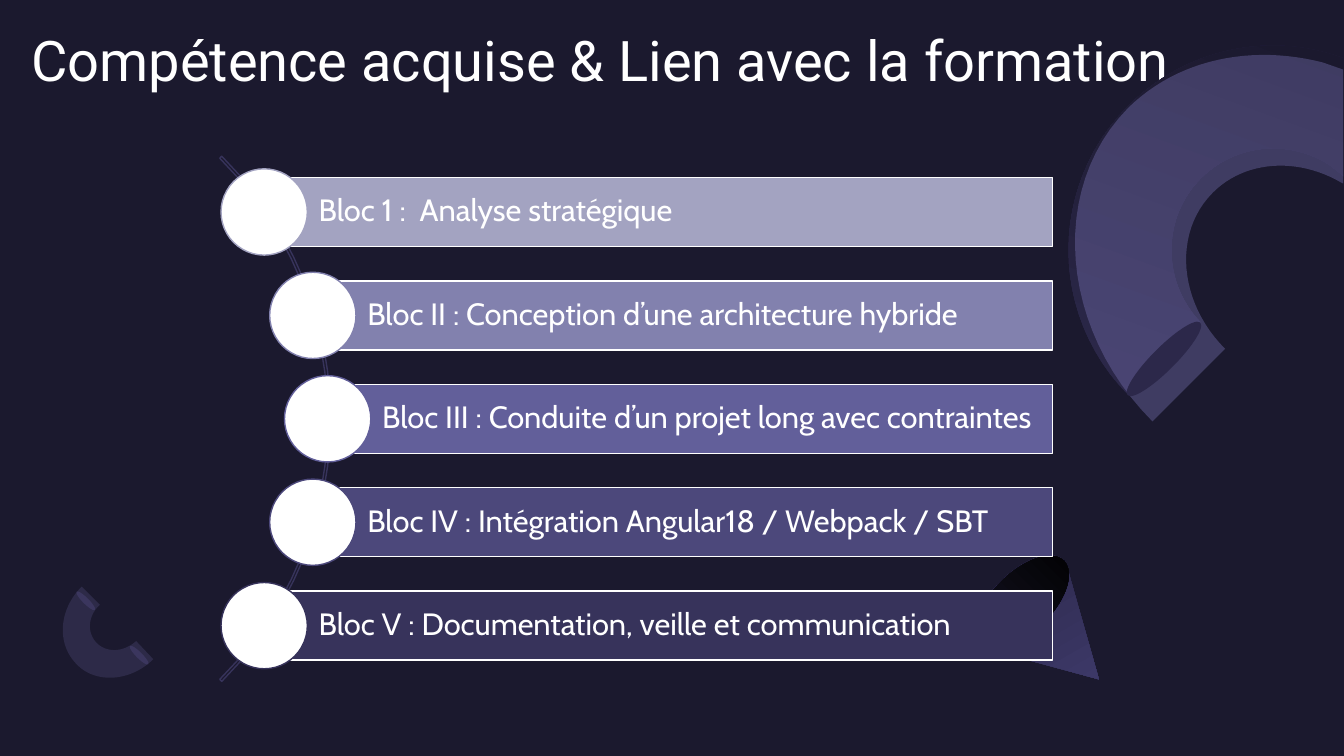
from dataclasses import dataclass
from math import sqrt

from lxml.etree import SubElement
from pptx import Presentation
from pptx.dml.color import RGBColor
from pptx.enum.shapes import MSO_SHAPE
from pptx.enum.text import MSO_ANCHOR, MSO_AUTO_SIZE, PP_ALIGN
from pptx.oxml.ns import qn
from pptx.util import Inches, Pt

CELL = Inches(0.1)


@dataclass(frozen=True)
class Theme:
    """Colours, fonts and type sizes of the slide."""
    ground: str = "1B192E"
    white: str = "FFFFFF"
    shade: str = "2C284A"
    veil: str = "7771B2"
    cone: str = "3C3867"
    hollow: tuple = ("171527", "000000")
    blocs: tuple = ("A3A3C1", "8281AE", "625F9A", "4C487B", "37335B")
    title_font: str = "Roboto"
    bloc_font: str = "Cabin"
    title_size: int = 40
    bloc_size: int = 22


@dataclass(frozen=True)
class Box:
    """A region measured in grid cells."""
    left: float
    top: float
    width: float = 0
    height: float = 0

    def within(self, left, top, width=0, height=0):
        """Return a box placed relative to this one."""
        return Box(self.left + left, self.top + top, width, height)

    def emu(self):
        """Return left, top, width and height as slide lengths."""
        return [round(side * CELL) for side in (self.left, self.top, self.width, self.height)]


THEME = Theme()

BLOCS = (
    "Bloc 1 :  Analyse stratégique",
    "Bloc II : Conception d’une architecture hybride",
    "Bloc III : Conduite d’un projet long avec contraintes",
    "Bloc IV : Intégration Angular18 / Webpack / SBT",
    "Bloc V : Documentation, veille et communication",
)

ARCH_BACK = [(7.9, 34.2), (0, 26.2, 0, 13.4, 7.9, 5.5), (13.4, 0, 21.2, -1.7, 28.1, 0.4),
             (29.3, 0.8), (29.3, 12.5), (27.9, 11.4), (23.9, 8.8, 18.6, 9.2, 15.1, 12.7),
             (11.2, 16.6, 11.2, 23, 15.1, 27)]
ARCH_FRONT = [(10.3, 36.8), (1.1, 27.6, 0, 13.7, 7.9, 5.7), (12.9, 0.8, 20.2, -0.6, 27.2, 1.2),
              (29.2, 1.9), (29.2, 13.2), (29, 13.1), (24.7, 10.6, 19.5, 10.9, 16.3, 14.1),
              (12.3, 18.1, 12.9, 25, 17.5, 29.6)]
CONE = [(13, 13.4), (1.6, 10.3), (1.4, 10.2, 1.3, 10.1, 1.1, 9.9), (0, 8.8, 0.9, 6, 3.2, 3.7),
        (5.5, 1.4, 8.3, 0.4, 9.5, 1.6), (9.6, 1.7, 9.7, 1.9, 9.8, 2.1)]
HOOK_BACK = [(1.6, 7.9), (-0.4, 5.9, -0.4, 2.7, 1.6, 0.7), (3.3, 2.5),
             (2.4, 3.5, 2.4, 5.1, 3.3, 6.1), (4.3, 7.1, 5.9, 7.1, 6.9, 6.1), (8.7, 7.9),
             (6.7, 9.9, 3.5, 9.9, 1.6, 7.9)]
HOOK_FRONT = [(1.6, 7.9), (-0.4, 5.9, -0.2, 2.5, 2.1, 0.2), (3.9, 2),
              (2.7, 3.1, 2.6, 4.8, 3.6, 5.8), (4.6, 6.8, 6.3, 6.7, 7.5, 5.6), (9.2, 7.4),
              (7, 9.6, 3.5, 9.9, 1.6, 7.9)]
SPINE = [(0.2, 0), (14.6, 14.4, 14.6, 37.7, 0.2, 52.1), (0, 51.9), (14.3, 37.7, 14.3, 14.5, 0, 0.2)]


def apply(target, formats):
    """Set every format value on the target."""
    for key, value in formats.items():
        setattr(target, key, value)


def paint(shape, fill=None, line=None, angle=None, alpha=None):
    """Give a shape a plain, gradient or translucent fill and an outline."""
    shape.shadow.inherit = False
    if fill is None:
        shape.fill.background()
    elif angle is not None:
        shape.fill.gradient()
        shape.fill.gradient_angle = angle
        for stop, colour in zip(shape.fill.gradient_stops, fill):
            stop.color.rgb = RGBColor.from_string(colour)
    else:
        shape.fill.solid()
        shape.fill.fore_color.rgb = RGBColor.from_string(fill)
    if alpha is not None:
        tint = shape.fill._xPr.find(".//" + qn("a:srgbClr"))
        SubElement(tint, qn("a:alpha")).set("val", str(alpha * 1000))
    if line is None:
        shape.line.fill.background()
    else:
        shape.line.color.rgb = RGBColor.from_string(line)
        shape.line.width = Pt(1)
    return shape


def trace(outline, steps=24):
    """Turn line ends and cubic curves into a list of points."""
    points = [outline[0]]
    for part in outline[1:]:
        if len(part) == 2:
            points.append(part)
            continue
        nodes = [points[-1], part[:2], part[2:4], part[4:]]
        for step in range(1, steps + 1):
            t = step / steps
            weights = ((1 - t) ** 3, 3 * t * (1 - t) ** 2, 3 * t * t * (1 - t), t ** 3)
            points.append(tuple(sum(w * node[axis] for w, node in zip(weights, nodes))
                                for axis in (0, 1)))
    return points


def add_outline(slide, box, outline, **look):
    """Draw a closed outline relative to its box."""
    points = [box.within(*point).emu()[:2] for point in trace(outline)]
    builder = slide.shapes.build_freeform(*points[0])
    builder.add_line_segments(points[1:], close=True)
    return paint(builder.convert_to_shape(), **look)


def add_preset(slide, kind, box, rotation=0, **look):
    """Draw a preset shape filling its box."""
    shape = paint(slide.shapes.add_shape(kind, *box.emu()), **look)
    shape.rotation = rotation
    return shape


def write(shape, text, frame_formats, paragraph_formats, font_formats):
    """Fill a shape with one formatted paragraph."""
    frame = shape.text_frame
    frame.text = text
    apply(frame, frame_formats)
    apply(frame.paragraphs[0], paragraph_formats)
    font = frame.paragraphs[0].runs[0].font
    apply(font, font_formats)
    font.color.rgb = RGBColor.from_string(THEME.white)


def add_arch(slide, box):
    """Draw the large arch at the right edge."""
    add_outline(slide, box, ARCH_BACK, fill=(THEME.shade, THEME.ground), angle=70)
    add_outline(slide, box, ARCH_FRONT, fill=THEME.veil, alpha=40)
    add_preset(slide, MSO_SHAPE.OVAL, box.within(10.3, 25.5, 2.3, 10.2), 225, fill=THEME.shade)


def add_cone(slide, box):
    """Draw the cone with its dark opening."""
    add_outline(slide, box, CONE, fill=(THEME.shade, THEME.cone), angle=300)
    add_preset(slide, MSO_SHAPE.OVAL, box.within(2.4, -0.1, 5.9, 11.8), 225,
               fill=THEME.hollow, angle=270)


def add_hook(slide, box):
    """Draw the small hook at the lower left."""
    add_outline(slide, box, HOOK_BACK, fill=THEME.ground)
    for left, top in ((7.5, 5.7), (2.2, 0.3)):
        add_preset(slide, MSO_SHAPE.OVAL, box.within(left, top, 0.6, 2.6), 135, fill=THEME.shade)
    add_outline(slide, box, HOOK_FRONT, fill=THEME.veil, alpha=20)


def add_title(slide, box):
    """Place the title in its placeholder."""
    title = slide.shapes.title
    apply(title, dict(zip(("left", "top", "width", "height"), box.emu())))
    margins = dict.fromkeys(("margin_left", "margin_top", "margin_right", "margin_bottom"), 0)
    write(title, "Compétence acquise & Lien avec la formation",
          {**margins, "vertical_anchor": MSO_ANCHOR.TOP, "word_wrap": True,
           "auto_size": MSO_AUTO_SIZE.NONE},
          {"alignment": PP_ALIGN.LEFT, "line_spacing": 0.9},
          {"name": THEME.title_font, "size": Pt(THEME.title_size)})


def add_blocs(slide, box):
    """Draw the curved list of blocs, each disc centred on the spine."""
    radius, hub, pitch, disc, bar = 36.6, -25.9, 10.26, 8.56, 6.84
    add_outline(slide, box, SPINE, line=THEME.blocs[-1])
    for row, (text, colour) in enumerate(zip(BLOCS, THEME.blocs)):
        offset = (row - len(BLOCS) // 2) * pitch
        centre, middle = hub + sqrt(radius ** 2 - offset ** 2), box.height / 2 + offset
        band = box.within(centre, middle - bar / 2, box.width - centre, bar)
        write(add_preset(slide, MSO_SHAPE.RECTANGLE, band, fill=colour, line=THEME.white), text,
              {"margin_left": Inches(0.54), "margin_right": Inches(0.06),
               "margin_top": Inches(0.06), "margin_bottom": Inches(0.06),
               "vertical_anchor": MSO_ANCHOR.MIDDLE, "word_wrap": True},
              {"alignment": PP_ALIGN.LEFT, "line_spacing": 0.9},
              {"name": THEME.bloc_font, "size": Pt(THEME.bloc_size)})
        add_preset(slide, MSO_SHAPE.OVAL,
                   box.within(centre - disc / 2, middle - disc / 2, disc, disc),
                   fill=THEME.white, line=colour)


def main():
    """Build and save the slide."""
    deck = Presentation()
    apply(deck, {"slide_width": Inches(13.33), "slide_height": Inches(7.5)})
    slide = deck.slides.add_slide(deck.slide_layouts[5])
    slide.background.fill.solid()
    slide.background.fill.fore_color.rgb = RGBColor.from_string(THEME.ground)
    add_arch(slide, Box(104, 5, 29.3, 37))
    add_cone(slide, Box(96, 54, 13, 13.4))
    add_hook(slide, Box(6, 58, 9.2, 9.4))
    add_title(slide, Box(3.1, 3.3, 119.3, 6.8))
    add_blocs(slide, Box(21.8, 15.5, 82.6, 52.1))
    deck.save("out.pptx")


if __name__ == "__main__":
    main()
